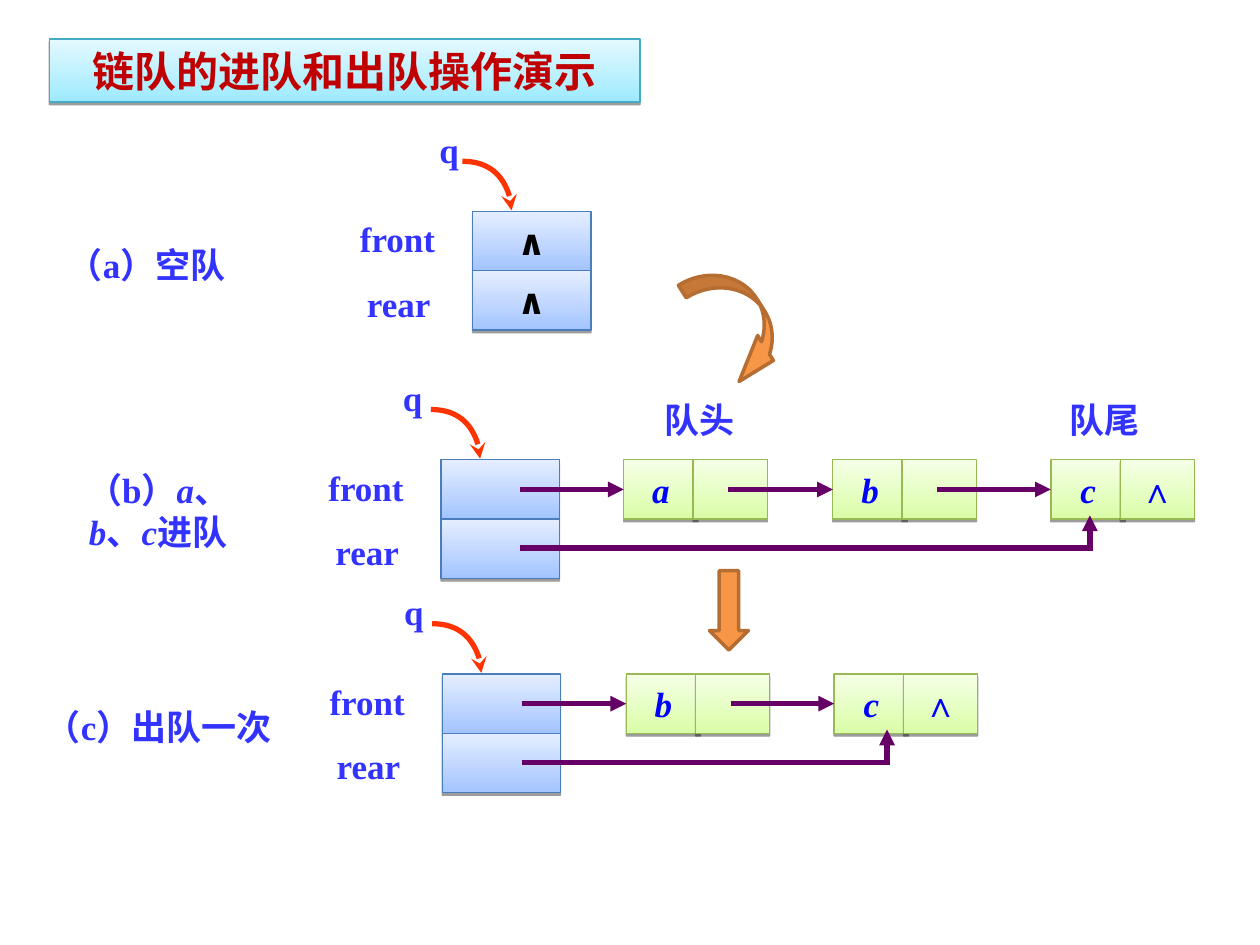
"""Build the slide that shows enqueue and dequeue on a linked queue."""
from lxml import etree
from pptx import Presentation
from pptx.dml.color import RGBColor
from pptx.enum.shapes import MSO_CONNECTOR, MSO_SHAPE
from pptx.enum.text import MSO_ANCHOR, PP_ALIGN
from pptx.oxml.ns import qn
from pptx.util import Inches, Pt

RECT, DOWN, CURVED = MSO_SHAPE.RECTANGLE, MSO_SHAPE.DOWN_ARROW, MSO_SHAPE.CURVED_LEFT_ARROW
STRAIGHT = MSO_CONNECTOR.STRAIGHT
CENTER, MIDDLE, TOP = PP_ALIGN.CENTER, MSO_ANCHOR.MIDDLE, MSO_ANCHOR.TOP
LEFT_SIDE = 1

BLACK = RGBColor(0x00, 0x00, 0x00)
RED = RGBColor(0xC0, 0x00, 0x00)
LABEL_BLUE = RGBColor(0x33, 0x33, 0xFF)
NODE_BLUE = RGBColor(0x00, 0x00, 0xFF)
PURPLE = RGBColor(0x66, 0x00, 0x66)
SCARLET = RGBColor(0xFF, 0x33, 0x00)
ORANGE = RGBColor(0xF7, 0x96, 0x46)
BROWN = RGBColor(0xB6, 0x6D, 0x31)
AQUA = (RGBColor(0x9E, 0xEA, 0xFF), RGBColor(0xE4, 0xF9, 0xFF), RGBColor(0x46, 0xAA, 0xC5))
BLUE = (RGBColor(0xA3, 0xC4, 0xFF), RGBColor(0xE5, 0xEE, 0xFF), RGBColor(0x4A, 0x7E, 0xBB))
GREEN = (RGBColor(0xDA, 0xFD, 0xA7), RGBColor(0xF5, 0xFF, 0xE6), RGBColor(0x98, 0xB9, 0x54))

SERIF, SANS, CJK = "Times New Roman", "Calibri", "Noto Sans CJK SC"
NULL = "∧"
HEAD_W, NODE_W, CELL_H, NODE_STEP, LABEL_H = 0.94, 0.59, 0.47, 0.55, 0.44

TITLE = "链队的进队和出队操作演示"
QUEUES = [
    {"x": 3.75, "y": 1.68, "q_x": 3.33, "nodes": [], "rear_x": None},
    {"x": 3.5, "y": 3.65, "q_x": 3.04, "nodes": [("a", 4.95), ("b", 6.61), ("c", 8.34)],
     "rear_x": 8.65},
    {"x": 3.51, "y": 5.35, "q_x": 3.05, "nodes": [("b", 4.97), ("c", 6.62)], "rear_x": 7.04},
]
CAPTIONS = [
    ([("（a）空队", False)], (0.3, 1.88, 1.73, LABEL_H)),
    ([("（b）", False), ("a", True), ("、", False), ("b", True), ("、", False), ("c", True),
      ("进队", False)], (0.39, 3.67, 1.73, 0.77)),
    ([("（c）出队一次", False)], (0.08, 5.55, 2.36, LABEL_H)),
    ([("队头", False)], (5, 3.11, 1.1, LABEL_H)),
    ([("队尾", False)], (8.22, 3.11, 1.1, LABEL_H)),
]
STEP_ARROWS = [
    (CURVED, (5.62, 2.06, 0.47, 1.02), -32.3, (0.25, 0.5, 0.68)),
    (DOWN, (5.63, 4.53, 0.31, 0.63), 0, (0.5, 0.5)),
]


def write(sp, runs, color, font=SERIF, size=20, italic=False, anchor=TOP, wrap=True):
    tf = sp.text_frame
    tf.word_wrap = wrap
    tf.vertical_anchor = anchor
    p = tf.paragraphs[0]
    p.alignment = CENTER
    p.font.size = Pt(size)
    p.font.bold = True
    p.font.italic = italic
    p.font.name = font
    p.font.color.rgb = color
    etree.SubElement(p.font._rPr, qn("a:ea"), typeface=CJK)
    for text, slanted in runs:
        r = p.add_run()
        r.text = text
        if slanted:
            r.font.italic = True


def add_label(s, runs, box):
    write(s.shapes.add_textbox(*map(Inches, box)), runs, LABEL_BLUE)


def add_box(s, box, colors):
    sp = s.shapes.add_shape(RECT, *map(Inches, box))
    sp.fill.gradient()
    sp.fill.gradient_angle = 90
    for stop, color in zip(sp.fill.gradient_stops, colors):
        stop.color.rgb = color
    sp.line.color.rgb = colors[2]
    sp.line.width = Pt(0.75)
    sp.shadow.inherit = False
    effects = sp._element.spPr.find(qn("a:effectLst"))
    shadow = etree.SubElement(effects, qn("a:outerShdw"), blurRad="0", dist=str(Pt(1.6)),
                              dir="5400000", rotWithShape="0")
    black = etree.SubElement(shadow, qn("a:srgbClr"), val="000000")
    etree.SubElement(black, qn("a:alpha"), val="38000")
    return sp


def style_line(sp, color, head=None):
    sp.line.color.rgb = color
    sp.line.width = Pt(3)
    if head:
        etree.SubElement(sp.line._get_or_add_ln(), qn("a:tailEnd"), type=head)


def add_line(s, x1, y1, x2, y2, head=None):
    line = s.shapes.add_connector(STRAIGHT, *map(Inches, (x1, y1, x2, y2)))
    style_line(line, PURPLE, head)
    etree.SubElement(line._element.spPr, qn("a:effectLst"))
    return line


def add_curve(s, x, y, size=0.39):
    builder = s.shapes.build_freeform(Inches(x), Inches(y))
    builder.add_line_segments([(Inches(x + size), Inches(y + size))], close=False)
    sp = builder.convert_to_shape()
    segment = next(sp._element.iter(qn("a:lnTo")))
    segment.tag = qn("a:cubicBezTo")
    side = Inches(size)
    for i, (px, py) in enumerate([(0.55, 0), (1, 0.45)]):
        segment.insert(i, etree.Element(qn("a:pt"), x=str(int(px * side)), y=str(int(py * side))))
    sp.fill.background()
    style_line(sp, SCARLET, "stealth")
    sp.shadow.inherit = False


def add_queue(s, x, y, q_x, nodes, rear_x):
    for i in range(2):
        cell = add_box(s, (x, y + i * CELL_H, HEAD_W, CELL_H), BLUE)
        if not nodes:
            write(cell, [(NULL, False)], BLACK, SANS, anchor=MIDDLE, wrap=False)
    add_curve(s, x - 0.08, y - 0.4)
    for text, box in [("q", (q_x, y - 0.71, 0.47, LABEL_H)),
                      ("front", (x - 1.03, y, 0.87, LABEL_H)),
                      ("rear", (x - 1.02, y + 0.51, 0.87, LABEL_H))]:
        add_label(s, [(text, False)], box)
    if not nodes:
        return

    mid_y = y + CELL_H / 2
    start_x = x + 0.63
    data_cells = []
    for name, node_x in nodes:
        data = add_box(s, (node_x, y, NODE_W, CELL_H), GREEN)
        write(data, [(name, False)], NODE_BLUE, italic=True, anchor=MIDDLE, wrap=False)
        link = add_box(s, (node_x + NODE_STEP, y, NODE_W, CELL_H), GREEN)
        data_cells.append(data)
    write(link, [(NULL, False)], NODE_BLUE, anchor=MIDDLE, wrap=False)

    starts = [start_x] + [node_x + 0.83 for _, node_x in nodes[:-1]]
    for from_x, data, (_, node_x) in zip(starts, data_cells, nodes):
        line = add_line(s, from_x, mid_y, node_x, mid_y, "triangle")
        line.end_connect(data, LEFT_SIDE)
    rear_y = y + 0.7
    add_line(s, start_x, rear_y, rear_x, rear_y)
    add_line(s, rear_x, rear_y + 0.02, rear_x, y + 0.44, "triangle")


def main():
    prs = Presentation()
    prs.slide_width, prs.slide_height = Inches(10), Inches(7.5)
    s = prs.slides.add_slide(prs.slide_layouts[6])
    write(add_box(s, (0.39, 0.31, 4.69, 0.5), AQUA), [(TITLE, False)], RED, CJK, 24)
    for queue in QUEUES:
        add_queue(s, **queue)
    for runs, box in CAPTIONS:
        add_label(s, runs, box)
    for kind, box, angle, adjustments in STEP_ARROWS:
        sp = s.shapes.add_shape(kind, *map(Inches, box))
        sp.rotation = angle
        for i, value in enumerate(adjustments):
            sp.adjustments[i] = value
        sp.fill.solid()
        sp.fill.fore_color.rgb = ORANGE
        sp.line.color.rgb = BROWN
        sp.line.width = Pt(2)
        sp.shadow.inherit = False
    prs.save("out.pptx")


if __name__ == "__main__":
    main()
